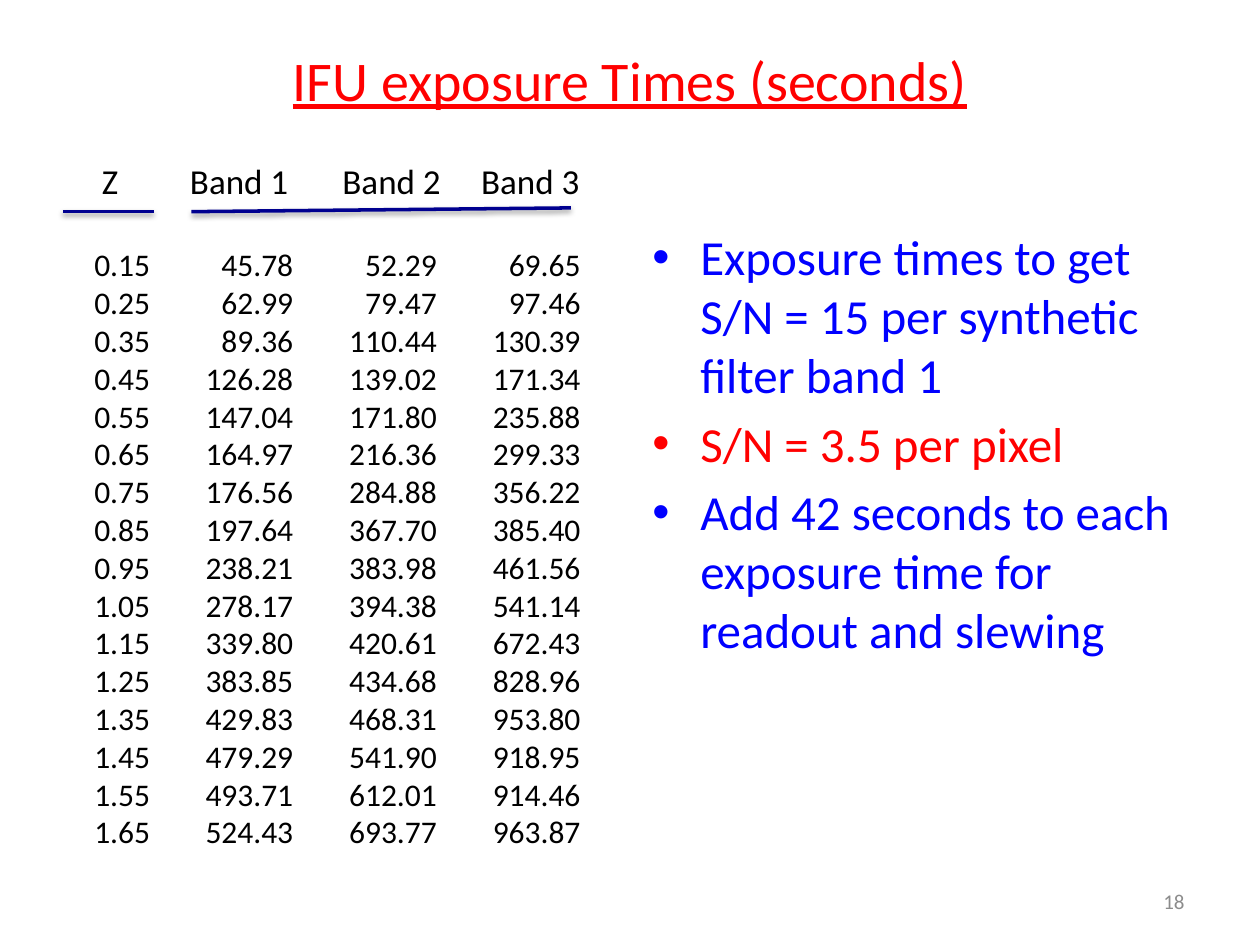
from lxml.etree import SubElement
from pptx import Presentation
from pptx.dml.color import RGBColor
from pptx.enum.shapes import MSO_CONNECTOR as Line
from pptx.enum.text import MSO_ANCHOR as Anchor, PP_ALIGN as Align
from pptx.oxml.ns import qn
from pptx.util import Inches, Pt

BANDS = {
    "0.15": ("45.78", "52.29", "69.65"),
    "0.25": ("62.99", "79.47", "97.46"),
    "0.35": ("89.36", "110.44", "130.39"),
    "0.45": ("126.28", "139.02", "171.34"),
    "0.55": ("147.04", "171.80", "235.88"),
    "0.65": ("164.97", "216.36", "299.33"),
    "0.75": ("176.56", "284.88", "356.22"),
    "0.85": ("197.64", "367.70", "385.40"),
    "0.95": ("238.21", "383.98", "461.56"),
    "1.05": ("278.17", "394.38", "541.14"),
    "1.15": ("339.80", "420.61", "672.43"),
    "1.25": ("383.85", "434.68", "828.96"),
    "1.35": ("429.83", "468.31", "953.80"),
    "1.45": ("479.29", "541.90", "918.95"),
    "1.55": ("493.71", "612.01", "914.46"),
    "1.65": ("524.43", "693.77", "963.87"),
}
HEADER_STOPS = [(0.38, "l"), (0.56, "l"), (0.63, "l"), (1.33, "l"), (2.54, "l"), (3.64, "l")]
ROW_STOPS = [(0.57, "l"), (2.15, "r"), (3.29, "r"), (4.43, "r")]
NOTES = [
    ("Exposure times to get S/N = 15 per synthetic filter band 1", "0000FF"),
    ("S/N = 3.5 per pixel", "FF0000"),
    ("Add 42 seconds to each exposure time for readout and slewing", "0000FF"),
]


def color(hex_text):
    return RGBColor.from_string(hex_text)


def add_frame(slide, box, anchor=Anchor.TOP):
    frame = slide.shapes.add_textbox(*map(Inches, box)).text_frame
    frame.word_wrap = True
    frame.vertical_anchor = anchor
    return frame


def style(run, size, hex_text, underline=None):
    run.font.name = "Calibri"
    run.font.size = Pt(size)
    run.font.color.rgb = color(hex_text)
    run.font.underline = underline


def add_run(paragraph, text, size, hex_text, underline=None):
    run = paragraph.add_run()
    run.text = text
    style(run, size, hex_text, underline)


def add_line_of_text(slide, box, text, size, hex_text, align, underline=None):
    paragraph = add_frame(slide, box, Anchor.MIDDLE).paragraphs[0]
    paragraph.text = text
    paragraph.alignment = align
    style(paragraph.runs[0], size, hex_text, underline)


def set_tabs(paragraph, stops):
    tabs = SubElement(paragraph._p.get_or_add_pPr(), qn("a:tabLst"))
    for position, align in stops:
        SubElement(tabs, qn("a:tab"), pos=str(Inches(position)), algn=align)


def add_rule(slide, start, end):
    rule = slide.shapes.add_connector(Line.STRAIGHT, *map(Inches, start + end))
    rule.line.color.rgb = color("000090")
    rule.line.width = Pt(2)
    effects = SubElement(rule._element.spPr, qn("a:effectLst"))
    shadow = SubElement(effects, qn("a:outerShdw"), blurRad=str(Pt(3.1)),
                        dist=str(Pt(1.6)), dir="5400000", rotWithShape="0")
    black = SubElement(shadow, qn("a:srgbClr"), val="000000")
    SubElement(black, qn("a:alpha"), val="38000")


def add_exposures(slide, box):
    left, top = box[:2]
    frame = add_frame(slide, box)
    header = frame.paragraphs[0]
    set_tabs(header, HEADER_STOPS)
    add_run(header, "\t", 24, "000000")
    add_run(header, "\t", 20, "000000", True)
    add_run(header, "\tZ\tBand 1\tBand 2\tBand 3", 20, "000000")
    for index, (redshift, times) in enumerate(BANDS.items()):
        row = frame.add_paragraph()
        row.text = "\t" + "\t".join((redshift, *times))
        row.space_before = Pt(0 if index else 24.4)
        set_tabs(row, ROW_STOPS)
        style(row.runs[0], 18, "000000")
    add_rule(slide, (left + 1.44, top + 0.52), (left + 4.45, top + 0.49))
    add_rule(slide, (left + 0.42, top + 0.52), (left + 1.14, top + 0.52))


def add_notes(slide, box):
    frame = add_frame(slide, box)
    for index, (text, hex_text) in enumerate(NOTES):
        note = frame.add_paragraph() if index else frame.paragraphs[0]
        note.text = text
        note.space_before = Pt(5.6)
        style(note.runs[0], 28, hex_text)
        props = note._p.get_or_add_pPr()
        props.set("marL", str(Inches(0.38)))
        props.set("indent", str(Inches(-0.38)))
        SubElement(props, qn("a:buFont"), typeface="Arial")
        SubElement(props, qn("a:buChar"), char="•")


deck = Presentation()
deck.slide_width, deck.slide_height = Inches(10), Inches(7.5)
slide = deck.slides.add_slide(deck.slide_layouts[6])
add_line_of_text(slide, (0.5, 0, 9, 1.25), "IFU exposure Times (seconds)", 32, "FF0000",
                 Align.CENTER, True)
add_exposures(slide, (0.08, 1.16, 4.94, 5.69))
add_line_of_text(slide, (7.17, 6.95, 2.33, 0.4), "18", 12, "8C8C8C", Align.RIGHT)
add_notes(slide, (5.08, 1.75, 4.42, 4.95))
deck.save("out.pptx")
